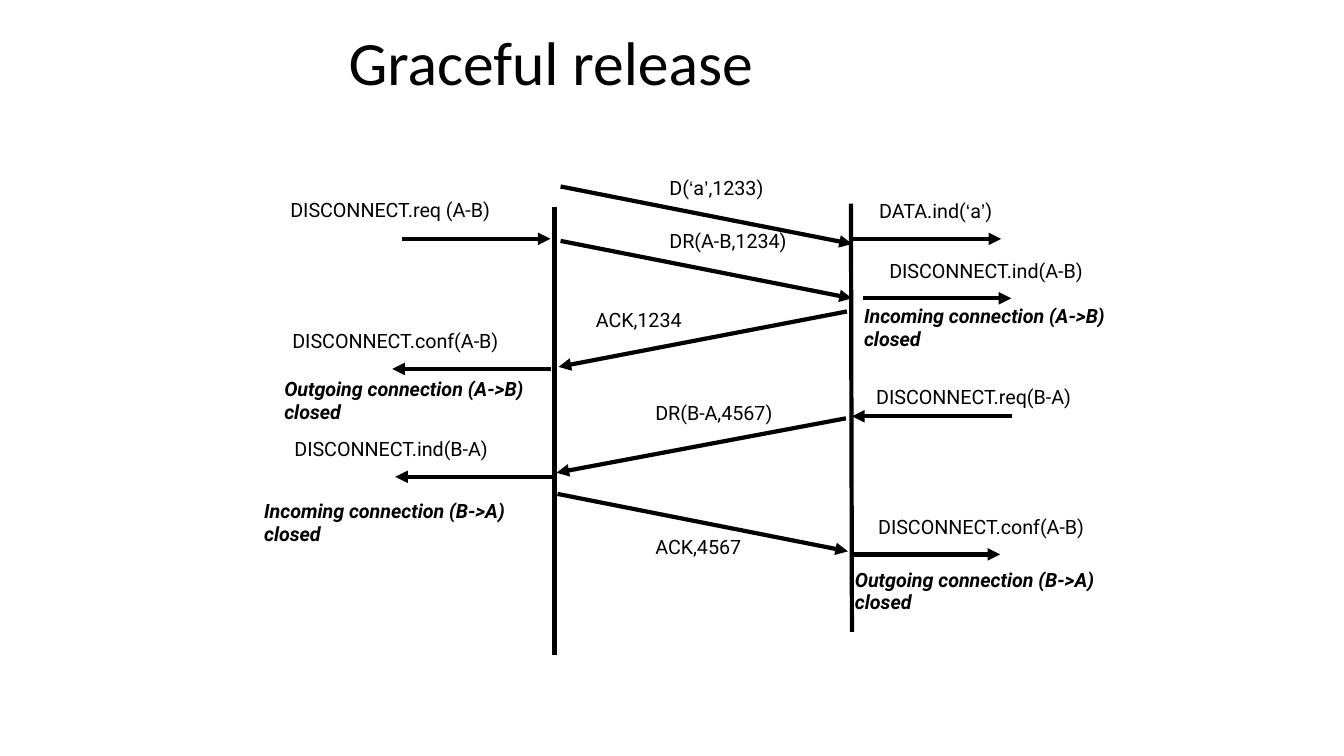
from itertools import groupby

from lxml import etree
from pptx import Presentation
from pptx.dml.color import RGBColor
from pptx.enum.shapes import MSO_CONNECTOR
from pptx.enum.text import MSO_ANCHOR, MSO_AUTO_SIZE
from pptx.oxml.ns import qn
from pptx.util import Inches, Pt

BLACK = RGBColor(0, 0, 0)
STRAIGHT = MSO_CONNECTOR.STRAIGHT
MIDDLE = MSO_ANCHOR.MIDDLE
GROW = MSO_AUTO_SIZE.SHAPE_TO_FIT_TEXT
QUOTES = "‘’"


class Chart:
    """Draws the parts of a message sequence chart on one slide."""

    font = "Roboto"
    size = Pt(14.1)
    width = Pt(3)

    def __init__(self, slide):
        self.shapes = slide.shapes

    def box(self, text, x, y, w, h, space):
        box = self.shapes.add_textbox(Inches(x), Inches(y), Inches(w), Inches(h))
        frame = box.text_frame
        frame.vertical_anchor = MIDDLE
        frame.text = text
        for par in frame.paragraphs:
            par.line_spacing = space
        return frame

    def style(self, frame, font, size, bold=False):
        for par in frame.paragraphs:
            for run in par.runs:
                run.font.name = "Arial" if run.text in QUOTES else font
                run.font.size = size
                run.font.color.rgb = BLACK
                if bold:
                    run.font.bold = run.font.italic = True

    def title(self, text):
        frame = self.box(text, 3.36, 0, 7.67, 1.32, 0.84)
        frame.word_wrap = True
        self.style(frame, "Calibri", Pt(44))

    def tight(self, frame):
        """Drop the margins and let the box fit its text."""
        frame.margin_left = frame.margin_right = 0
        frame.margin_top = frame.margin_bottom = 0
        frame.word_wrap = False
        frame.auto_size = GROW

    def label(self, text, x, y, w):
        frame = self.box(text, x, y, w, 0.2, 0.84)
        self.tight(frame)
        if QUOTES[0] in text:
            par = frame.paragraphs[0]
            par.text = ""
            for _, part in groupby(text, lambda sign: sign in QUOTES):
                par.add_run().text = "".join(part)
        self.style(frame, self.font, self.size)

    def state(self, text, x, y):
        frame = self.box(text, x, y, 2.64, 0.46, 0.97)
        self.tight(frame)
        self.style(frame, self.font, self.size, bold=True)

    def line(self, x1, y1, x2, y2):
        line = self.shapes.add_connector(
            STRAIGHT, Inches(x1), Inches(y1), Inches(x2), Inches(y2))
        line.line.color.rgb = BLACK
        line.line.width = self.width
        etree.SubElement(line._element.spPr, qn("a:effectLst"))
        return line

    def arrow(self, x1, y1, x2, y2):
        stroke = self.line(x1, y1, x2, y2).line._get_or_add_ln()
        etree.SubElement(stroke, qn("a:tailEnd"), type="triangle")


LIFELINES = [(5.5, 2.05, 5.5, 6.5), (8.44, 2.02, 8.45, 6.27)]

# Messages between the hosts: text, label x, y, width, arrow ends
MESSAGES = [
    ("D(‘a’,1233)", 6.64, 1.78, 1.07, (5.56, 1.85, 8.45, 2.42)),
    ("DR(A-B,1234)", 6.64, 2.31, 1.24, (5.56, 2.39, 8.45, 2.96)),
    ("ACK,1234", 5.91, 3.09, 0.9, (8.4, 3.09, 5.54, 3.64)),
    ("DR(B-A,4567)", 6.5, 4.01, 1.24, (8.39, 4.15, 5.52, 4.69)),
    ("ACK,4567", 6.5, 5.34, 0.9, (5.53, 4.9, 8.41, 5.47)),
]

# Level service calls: text, label x, y, width, arrow start x, end x, y
CALLS = [
    ("DISCONNECT.req (A-B)", 2.88, 2, 2.13, 3.99, 5.46, 2.37),
    ("DATA.ind(‘a’)", 8.72, 2.01, 1.25, 8.46, 9.93, 2.37),
    ("DISCONNECT.ind(A-B)", 8.82, 2.6, 2.06, 8.56, 10.03, 2.96),
    ("DISCONNECT.conf(A-B)", 2.9, 3.3, 2.16, 5.47, 3.89, 3.66),
    ("DISCONNECT.req(B-A)", 8.69, 3.85, 2.08, 10.04, 8.45, 4.13),
    ("DISCONNECT.ind(B-A)", 2.92, 4.37, 2.06, 5.5, 3.92, 4.73),
    ("DISCONNECT.conf(A-B)", 8.71, 5.14, 2.16, 8.45, 9.92, 5.5),
]

STATES = [
    ("Outgoing connection (A->B)\nclosed", 2.82, 3.75),
    ("Incoming connection (A->B)\vclosed", 8.57, 3.03),
    ("Incoming connection (B->A)\vclosed", 2.62, 4.96),
    ("Outgoing connection (B->A)\nclosed", 8.48, 5.64),
]


def main():
    deck = Presentation()
    deck.slide_width, deck.slide_height = Inches(13.33), Inches(7.5)
    chart = Chart(deck.slides.add_slide(deck.slide_layouts[6]))
    chart.title("Graceful release")
    for ends in LIFELINES:
        chart.line(*ends)
    for text, x, y, w, ends in MESSAGES:
        chart.label(text, x, y, w)
        chart.arrow(*ends)
    for text, x, y, w, start, end, level in CALLS:
        chart.label(text, x, y, w)
        chart.arrow(start, level, end, level)
    for state in STATES:
        chart.state(*state)
    deck.save("out.pptx")


if __name__ == "__main__":
    main()
